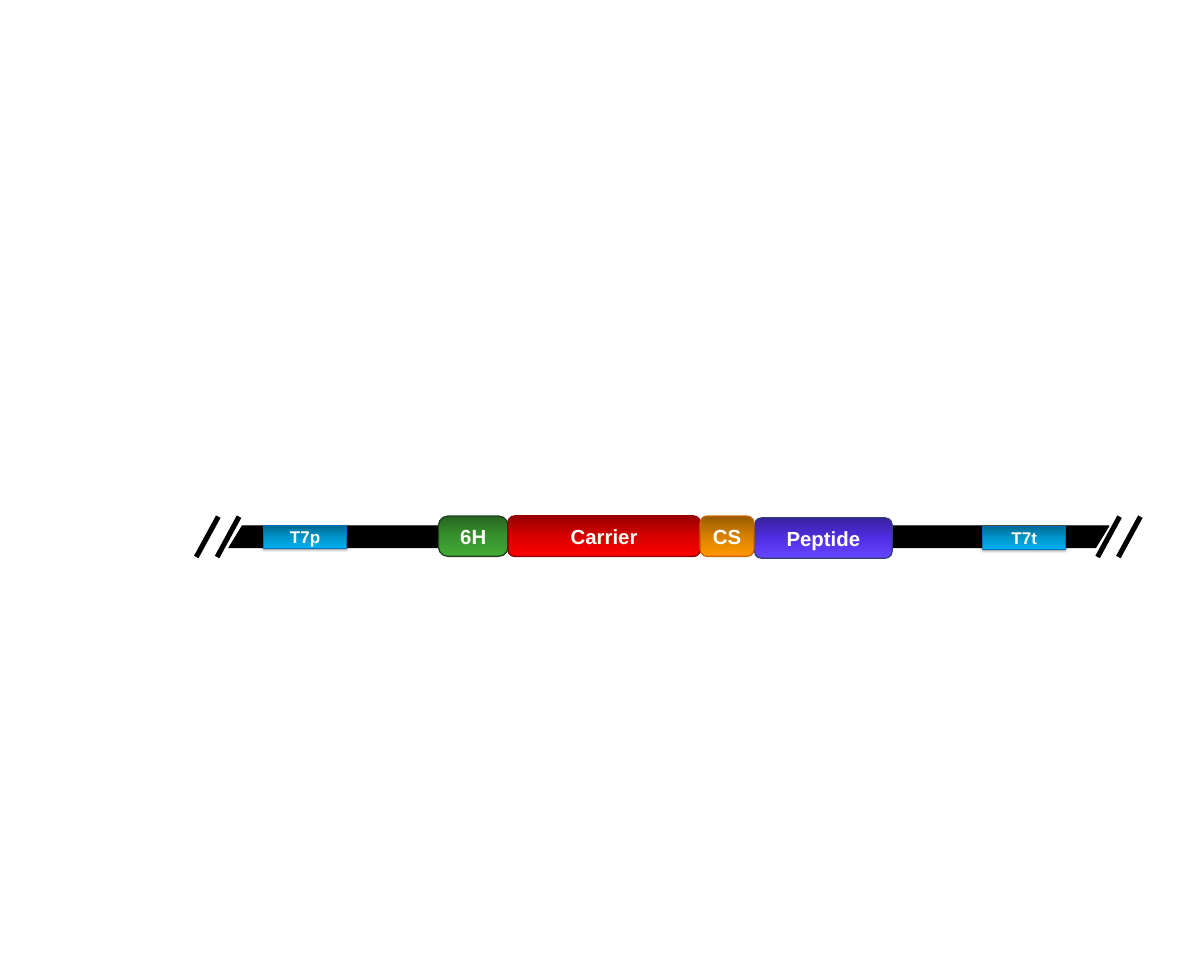
from copy import deepcopy
from dataclasses import dataclass

from lxml.etree import SubElement
from pptx import Presentation
from pptx.dml.color import RGBColor
from pptx.enum.shapes import MSO_CONNECTOR, MSO_SHAPE
from pptx.enum.text import MSO_ANCHOR, PP_ALIGN
from pptx.oxml.ns import qn
from pptx.shapes.autoshape import Shape
from pptx.slide import Slide
from pptx.util import Inches, Pt

COLORS = {"dna": "000000", "label": "FDFFF8"}
# Gradient from top to bottom, then the outline
PALETTES = {
    "tag": ("276620", "37912E", "42AC36", "203E1E"),
    "peptide": ("37219F", "4F2EE3", "6645FF", "304073"),
    "carrier": ("970000", "D70000", "FF0000", "990000"),
    "t7": ("00688E", "0094CA", "00B0F0", "0070C0"),
    "cleavage": ("975B00", "D78100", "FF9900", "CC6600"),
}


@dataclass(frozen=True)
class Gene:
    label: str
    left: float
    top: float
    width: float
    palette: str
    rounding: float
    outline: float = 1.5


@dataclass(frozen=True)
class Regulator:
    label: str
    left: float
    top: float


GENES = [
    Gene("6H", 7.17, 8.44, 1.14, "tag", 0.238),
    Gene("Peptide", 12.34, 8.47, 2.25, "peptide", 0.173),
    Gene("Carrier", 8.31, 8.44, 3.14, "carrier", 0.167, 2),
    Gene("CS", 11.45, 8.44, 0.88, "cleavage", 0.173),
]
REGULATORS = [Regulator("T7p", 4.31, 8.59), Regulator("T7t", 16.07, 8.6)]
BREAK_LEFTS = [3.21, 3.55, 17.95, 18.29]


def paint(part: Shape, palette: str, outline: float) -> None:
    *shades, edge = PALETTES[palette]
    part.shadow.inherit = False
    part.fill.gradient()
    part.fill.gradient_angle = 270
    stop_list = part.fill.gradient_stops[0]._gs.getparent()
    stop_list.insert(1, deepcopy(stop_list[0]))
    for stop, position, shade in zip(part.fill.gradient_stops, (0, 0.5, 1), shades):
        stop.position = position
        stop.color.rgb = RGBColor.from_string(shade)
    part.line.color.rgb = RGBColor.from_string(edge)
    part.line.width = Pt(outline)


def write_label(part: Shape, label: str, size: int) -> None:
    frame = part.text_frame
    frame.vertical_anchor = MSO_ANCHOR.MIDDLE
    paragraph = frame.paragraphs[0]
    paragraph.alignment = PP_ALIGN.CENTER
    run = paragraph.add_run()
    run.text = label
    run.font.name = "Arial"
    run.font.size = Pt(size)
    run.font.bold = True
    run.font.color.rgb = RGBColor.from_string(COLORS["label"])


def cast_shadow(part: Shape) -> None:
    effects = part._element.spPr.find(qn("a:effectLst"))
    shadow = SubElement(effects, qn("a:outerShdw"), blurRad=str(Pt(3.1)),
                        dist=str(Pt(1.8)), dir="5400000", rotWithShape="0")
    black = SubElement(shadow, qn("a:srgbClr"), val=COLORS["dna"])
    SubElement(black, qn("a:alpha"), val="35000")


def draw_backbone(slide: Slide) -> None:
    backbone = slide.shapes.add_shape(
        MSO_SHAPE.PARALLELOGRAM, Inches(3.74), Inches(8.6), Inches(14.4), Inches(0.36))
    backbone.adjustments[0] = 0.611
    backbone.shadow.inherit = False
    backbone.fill.solid()
    backbone.fill.fore_color.rgb = RGBColor.from_string(COLORS["dna"])
    backbone.line.color.rgb = RGBColor.from_string(COLORS["dna"])
    backbone.line.width = Pt(0.75)


def draw_break(slide: Slide, left: float) -> None:
    slash = slide.shapes.add_connector(
        MSO_CONNECTOR.STRAIGHT, Inches(left + 0.36), Inches(8.45), Inches(left), Inches(9.11))
    slash.line.color.rgb = RGBColor.from_string(COLORS["dna"])
    slash.line.width = Pt(6)
    SubElement(slash._element.spPr, qn("a:effectLst"))


def draw_gene(slide: Slide, gene: Gene) -> None:
    box = slide.shapes.add_shape(
        MSO_SHAPE.ROUNDED_RECTANGLE, Inches(gene.left), Inches(gene.top),
        Inches(gene.width), Inches(0.66))
    box.adjustments[0] = gene.rounding
    paint(box, gene.palette, gene.outline)
    frame = box.text_frame
    frame.margin_left = frame.margin_right = Inches(0.04)
    frame.margin_top = frame.margin_bottom = Inches(0.02)
    write_label(box, gene.label, 24)


def draw_regulator(slide: Slide, regulator: Regulator) -> None:
    box = slide.shapes.add_shape(
        MSO_SHAPE.RECTANGLE, Inches(regulator.left), Inches(regulator.top),
        Inches(1.36), Inches(0.38))
    paint(box, "t7", 0.75)
    cast_shadow(box)
    write_label(box, regulator.label, 20)


def main() -> None:
    deck = Presentation()
    deck.slide_width, deck.slide_height = Inches(19.69), Inches(15.75)
    slide = deck.slides.add_slide(deck.slide_layouts[6])

    # DNA strand with break marks at both ends
    draw_backbone(slide)
    for left in BREAK_LEFTS:
        draw_break(slide, left)

    # Fusion gene, promoter and terminator
    for gene in GENES:
        draw_gene(slide, gene)
    for regulator in REGULATORS:
        draw_regulator(slide, regulator)

    deck.save("out.pptx")


if __name__ == "__main__":
    main()
